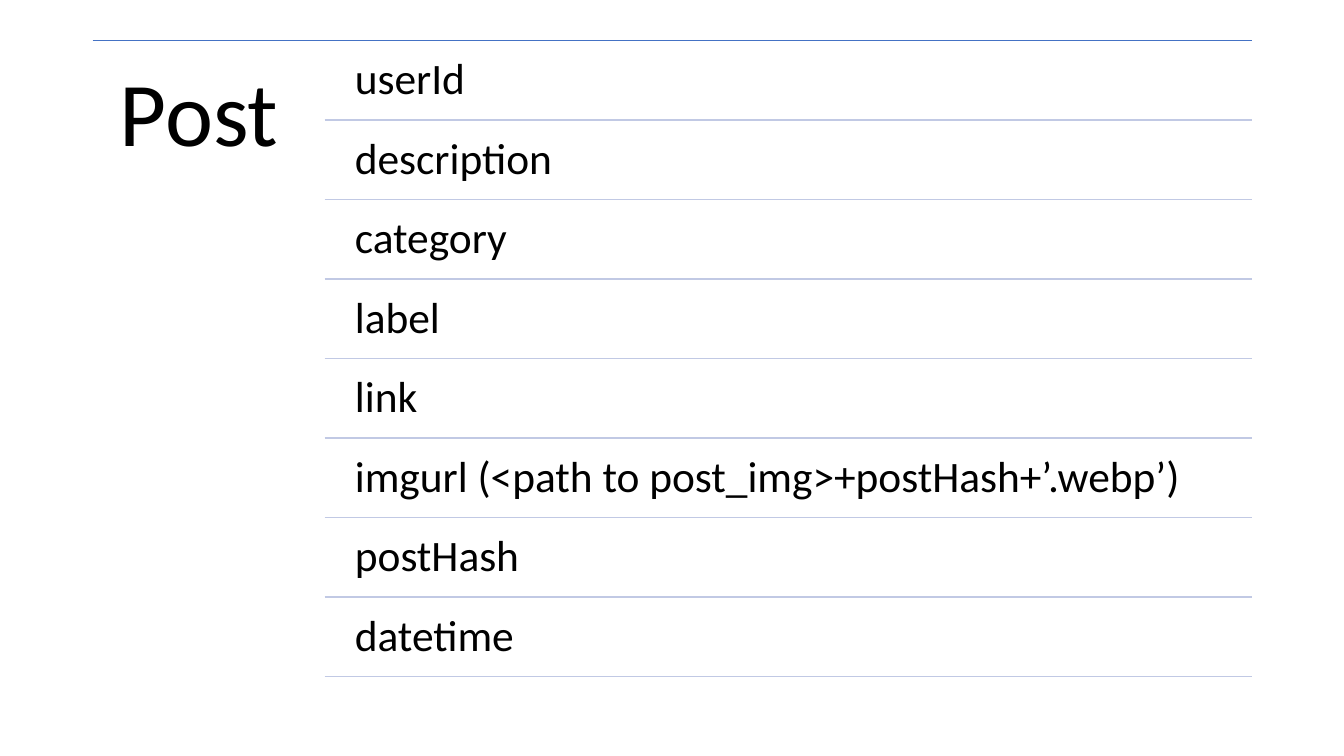
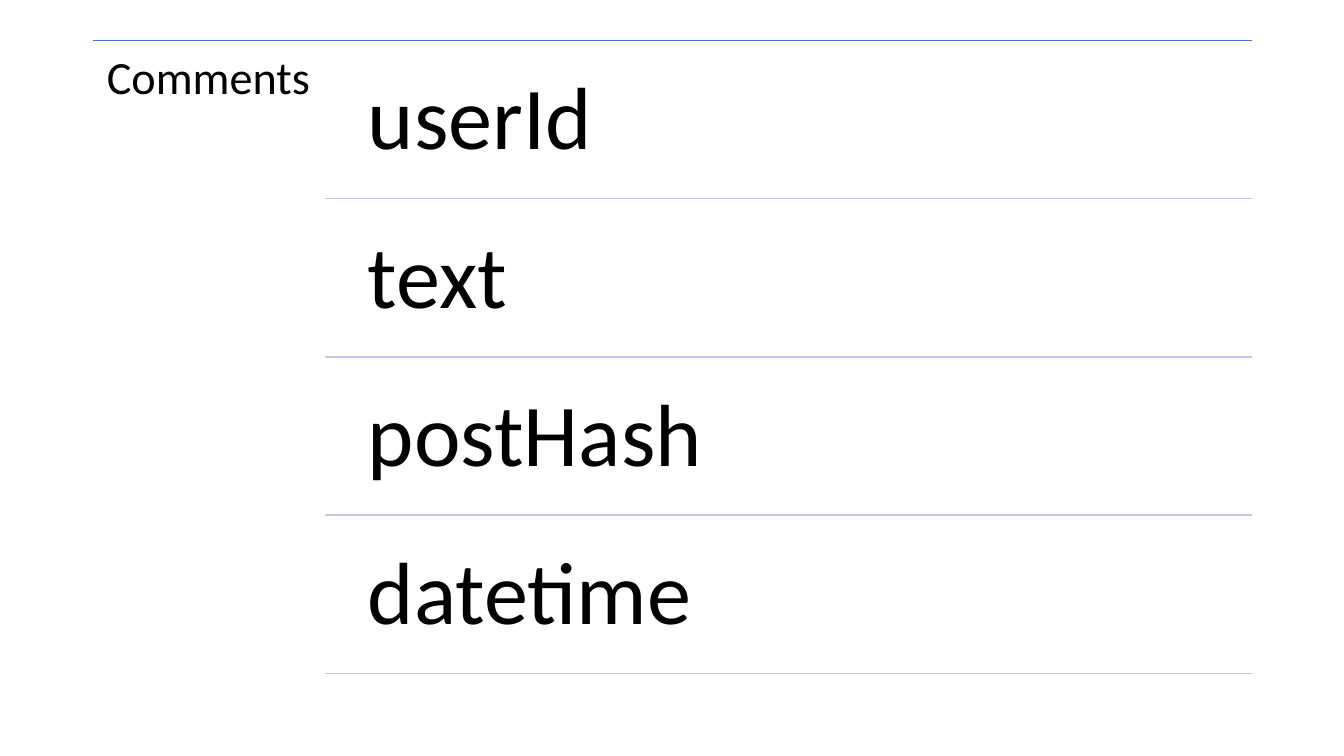
from lxml import etree
from pptx import Presentation
from pptx.dml.color import RGBColor
from pptx.enum import shapes, text
from pptx.oxml.ns import qn
from pptx.util import Inches, Pt

COLORS = {"rule": "4472C4", "divider": "C1C9E4", "text": "000000"}
FONT = "Calibri"
LEFT, RIGHT, TOP = 0.92, 12.42, 0.4
TITLE_WIDTH, TITLE_HEIGHT = 2.3, 6.36
DIVIDER_LEFT, FIELD_LEFT = 3.22, 3.39


class SchemaDeck:
    """Draws one data model per slide: a name and its ruled list of fields."""

    def __init__(self):
        """Start an empty widescreen deck."""
        self.deck = Presentation()
        self.deck.slide_width = Inches(13.33)
        self.deck.slide_height = Inches(7.5)
        self.slide = None

    def rule(self, left, y, color):
        """Draw a thin horizontal line to the right margin."""
        line = self.slide.shapes.add_connector(
            shapes.MSO_CONNECTOR.STRAIGHT,
            Inches(left), Inches(y), Inches(RIGHT), Inches(y))
        line.line.color.rgb = RGBColor.from_string(COLORS[color])
        line.line.width = Pt(1)
        etree.SubElement(line._element.spPr, qn("a:effectLst"))

    def label(self, wording, left, top, width, height, size, inset):
        """Write one top-aligned text with an equal inset on all sides."""
        box = self.slide.shapes.add_textbox(
            Inches(left), Inches(top), Inches(width), Inches(height))
        frame = box.text_frame
        frame.word_wrap = True
        frame.vertical_anchor = text.MSO_ANCHOR.TOP
        frame.margin_left = frame.margin_right = Inches(inset)
        frame.margin_top = frame.margin_bottom = Inches(inset)
        frame.text = wording
        paragraph = frame.paragraphs[0]
        paragraph.line_spacing = 0.9
        font = paragraph.runs[0].font
        font.name, font.size = FONT, Pt(size)
        font.color.rgb = RGBColor.from_string(COLORS["text"])

    def model(self, name, name_size, name_inset,
              fields, field_size, field_inset, bottom, gap):
        """Add a slide with the model name and evenly spaced fields."""
        self.slide = self.deck.slides.add_slide(self.deck.slide_layouts[6])
        self.rule(LEFT, TOP, "rule")
        self.label(name, LEFT, TOP, TITLE_WIDTH, TITLE_HEIGHT,
                   name_size, name_inset)
        pitch = (bottom - TOP) / len(fields)
        for row, field in enumerate(fields):
            top = TOP + row * pitch
            self.label(field, FIELD_LEFT, top + gap, RIGHT - FIELD_LEFT,
                       pitch - gap, field_size, field_inset)
            self.rule(DIVIDER_LEFT, top + pitch, "divider")


schema = SchemaDeck()
schema.model(
    "Post", 65, 0.27,
    ["userId", "description", "category", "label", "link",
     "imgurl (<path to post_img>+postHash+’.webp’)", "postHash", "datetime"],
    31, 0.13, bottom=6.71, gap=0.04)
schema.model(
    "Comments", 33, 0.14,
    ["userId", "text", "postHash", "datetime"],
    63, 0.26, bottom=6.68, gap=0.07)
schema.deck.save("out.pptx")
